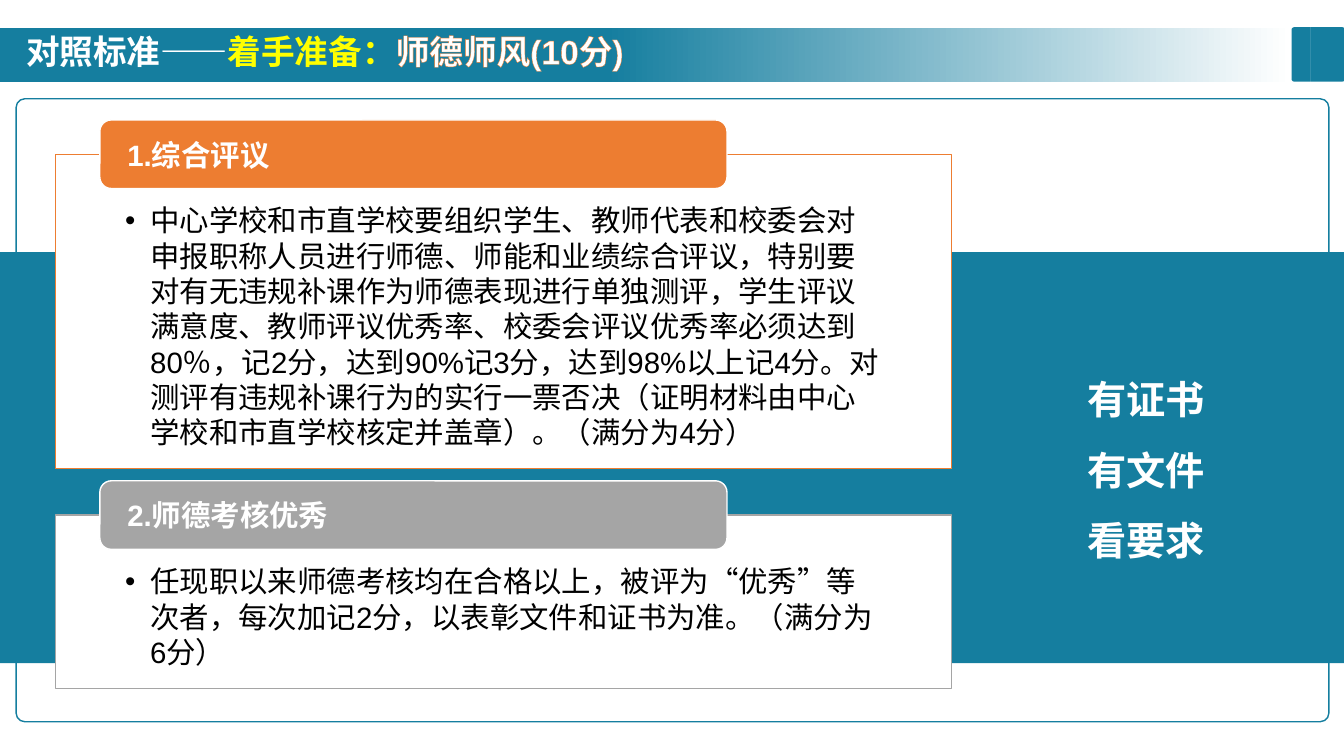
from lxml.etree import SubElement
from pptx import Presentation
from pptx.dml.color import RGBColor
from pptx.enum.lang import MSO_LANGUAGE_ID
from pptx.enum.shapes import MSO_SHAPE
from pptx.enum.text import MSO_ANCHOR, PP_ALIGN
from pptx.oxml import parse_xml
from pptx.oxml.ns import nsdecls, qn
from pptx.util import Inches, Pt

COLORS = {
    "teal": "157E9F",
    "white": "FFFFFF",
    "pale": "F6F8FC",
    "yellow": "FFFF00",
    "orange": "ED7D31",
    "gray": "A5A5A5",
    "black": "000000",
}
TITLE = [("对照标准——", "white"), ("着手准备：", "yellow"), ("师德师风(10分)", "white")]
REMINDERS = ["有证书", "有文件", "看要求"]
CARDS = [
    {
        "heading": "1.综合评议",
        "body": "中心学校和市直学校要组织学生、教师代表和校委会对申报职称人员进行师德、师能和业绩综合评议，"
        "特别要对有无违规补课作为师德表现进行单独测评，学生评议满意度、教师评议优秀率、校委会评议优秀率"
        "必须达到80％，记2分，达到90%记3分，达到98%以上记4分。对测评有违规补课行为的实行一票否决"
        "（证明材料由中心学校和市直学校核定并盖章）。（满分为4分）",
        "color": "orange",
        "top": 1.53,
        "height": 3.12,
    },
    {
        "heading": "2.师德考核优秀",
        "body": "任现职以来师德考核均在合格以上，被评为“优秀”等次者，每次加记2分，以表彰文件和证书为准。（满分为6分）",
        "color": "gray",
        "top": 5.11,
        "height": 1.72,
    },
]
PENCIL = [
    [(13.13, 0.48), (13.03, 0.42), (13.04, 0.39), (13.15, 0.45)],
    [(13.17, 0.42), (13.16, 0.39), (13.09, 0.35), (13.06, 0.35), (13.05, 0.37), (13.16, 0.43)],
    [(13.02, 0.67), (13.12, 0.5), (13.08, 0.48), (12.98, 0.64)],
    [(12.91, 0.65), (12.9, 0.73), (12.91, 0.74), (12.98, 0.69)],
    [(13.05, 0.46), (13.01, 0.44), (12.91, 0.6), (12.95, 0.62)],
    [(13.16, 0.73), (12.98, 0.73), (12.97, 0.74), (12.98, 0.75), (13.16, 0.75), (13.17, 0.74)],
]


def rgb(name):
    return RGBColor.from_string(COLORS[name])


def paint(shape, fill=None, line=None):
    shape.shadow.inherit = False
    if fill:
        shape.fill.solid()
        shape.fill.fore_color.rgb = rgb(fill)
    if line:
        shape.line.color.rgb = rgb(line)
        shape.line.width = Pt(1)
    else:
        shape.line.fill.background()


def add_box(page, kind, place, fill=None, line=None, radius=None):
    box = page.shapes.add_shape(kind, *map(Inches, place))
    paint(box, fill, line)
    if radius is not None:
        box.adjustments[0] = radius
    return box


def set_frame(box, insets, anchor):
    frame = box.text_frame
    frame.word_wrap = True
    frame.vertical_anchor = anchor
    frame.margin_left, frame.margin_top, frame.margin_right, frame.margin_bottom = map(Inches, insets)
    return frame


def style(span, size, color, bold=True):
    font = span.font
    font.name = "Arial"
    font.size = Pt(size)
    font.bold = bold
    font.color.rgb = rgb(color)
    font.language_id = MSO_LANGUAGE_ID.SIMPLIFIED_CHINESE


def add_bullet(para):
    properties = para._p.get_or_add_pPr()
    properties.set("marL", str(Inches(0.25)))
    properties.set("indent", str(-Inches(0.25)))
    SubElement(properties, qn("a:buFont"), typeface="Arial")
    SubElement(properties, qn("a:buChar"), char="•")


def add_header(page):
    band = add_box(page, MSO_SHAPE.RECTANGLE, (0, 0.28, 12.8, 0.53))
    band.fill.gradient()
    band.fill.gradient_angle = 180
    for stop, position, color in zip(band.fill.gradient_stops, (0, 0.53), ("white", "teal")):
        stop.position = position
        stop.color.rgb = rgb(color)
    add_box(page, MSO_SHAPE.ROUNDED_RECTANGLE, (12.81, 0.27, 0.53, 0.54), "teal", radius=0.05)
    start, *rest = PENCIL[0]
    builder = page.shapes.build_freeform(*start, scale=Inches(1))
    builder.add_line_segments(rest)
    for start, *rest in PENCIL[1:]:
        builder.move_to(*start)
        builder.add_line_segments(rest)
    paint(builder.convert_to_shape(), "white")


def add_title(page):
    box = page.shapes.add_textbox(*map(Inches, (0.16, 0.3, 8.91, 0.46)))
    para = set_frame(box, (0.1, 0.05, 0.1, 0.05), MSO_ANCHOR.MIDDLE).paragraphs[0]
    para.line_spacing = 0.9
    for text, color in TITLE:
        span = para.add_run()
        span.text = text
        style(span, 24, color)
    outline = parse_xml(
        f'<a:ln {nsdecls("a")} w="{Pt(0.52)}"><a:solidFill>'
        f'<a:srgbClr val="{COLORS["orange"]}"/></a:solidFill></a:ln>'
    )
    span.font._element.insert(0, outline)


def add_reminders(page):
    block = add_box(page, MSO_SHAPE.RECTANGLE, (0, 2.5, 13.33, 4.08), "teal")
    frame = set_frame(block, (0.1, 0.05, 1.38, 0.05), MSO_ANCHOR.MIDDLE)
    frame.text = "\n".join(REMINDERS)
    for para in frame.paragraphs:
        para.alignment = PP_ALIGN.RIGHT
        para.line_spacing = 1.5
        style(para.runs[0], 28, "white")


def add_card(page, card):
    top, color = card["top"], card["color"]
    panel = add_box(page, MSO_SHAPE.RECTANGLE, (0.55, top, 8.89, card["height"]), "white", color)
    tab = add_box(page, MSO_SHAPE.ROUNDED_RECTANGLE, (0.99, top - 0.34, 6.22, 0.68), color, "white")
    texts = [
        (panel, card["body"], (0.69, 0.48, 0.69, 0.16), MSO_ANCHOR.TOP, "black", False),
        (tab, card["heading"], (0.24, 0, 0.24, 0), MSO_ANCHOR.MIDDLE, "white", True),
    ]
    for box, text, insets, anchor, ink, bold in texts:
        frame = set_frame(box, insets, anchor)
        frame.text = text
        para = frame.paragraphs[0]
        para.alignment = PP_ALIGN.LEFT
        if box is panel:
            add_bullet(para)
        style(para.runs[0], 21, ink, bold)


def main():
    deck = Presentation()
    deck.slide_width, deck.slide_height = Inches(13.33), Inches(7.5)
    page = deck.slides.add_slide(deck.slide_layouts[6])
    add_header(page)
    add_box(page, MSO_SHAPE.ROUNDED_RECTANGLE, (0.16, 0.98, 13.02, 6.18), "white", "teal", 0.014)
    add_reminders(page)
    add_title(page)
    for card in CARDS:
        add_card(page, card)
    deck.save("out.pptx")


if __name__ == "__main__":
    main()
